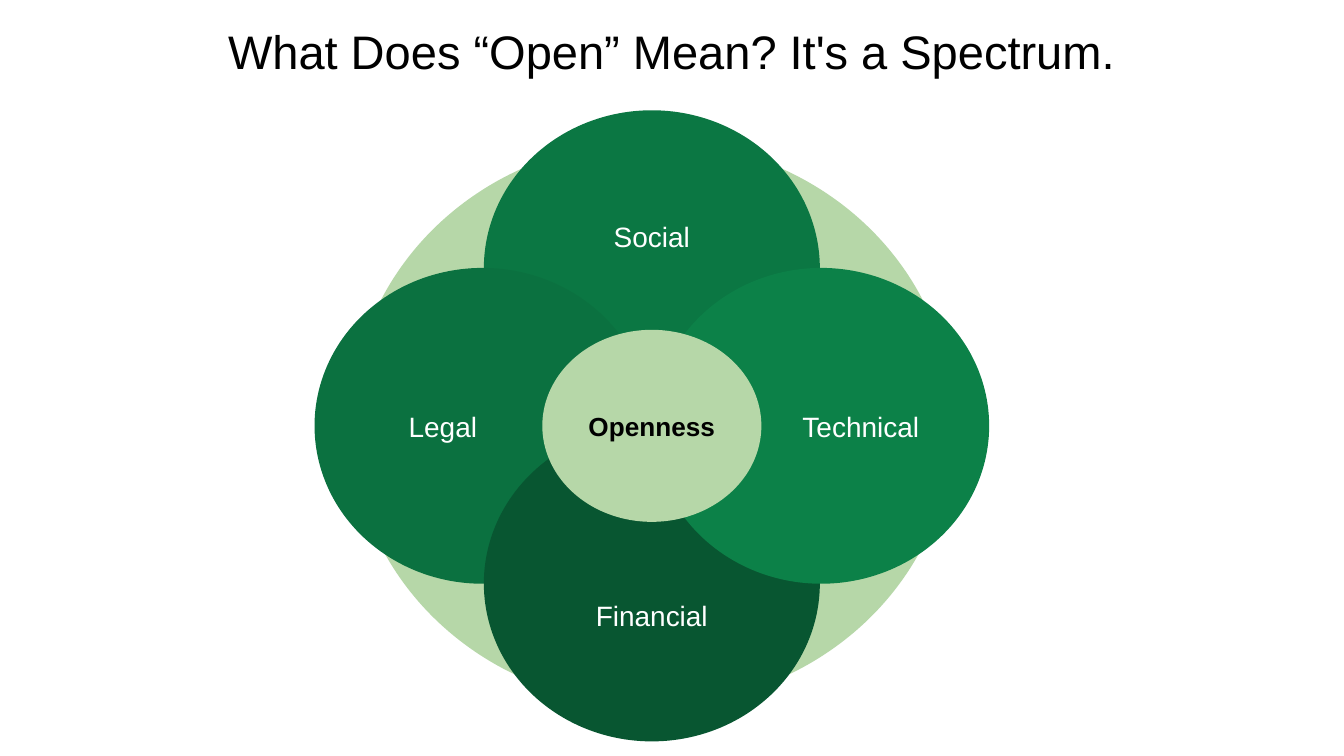
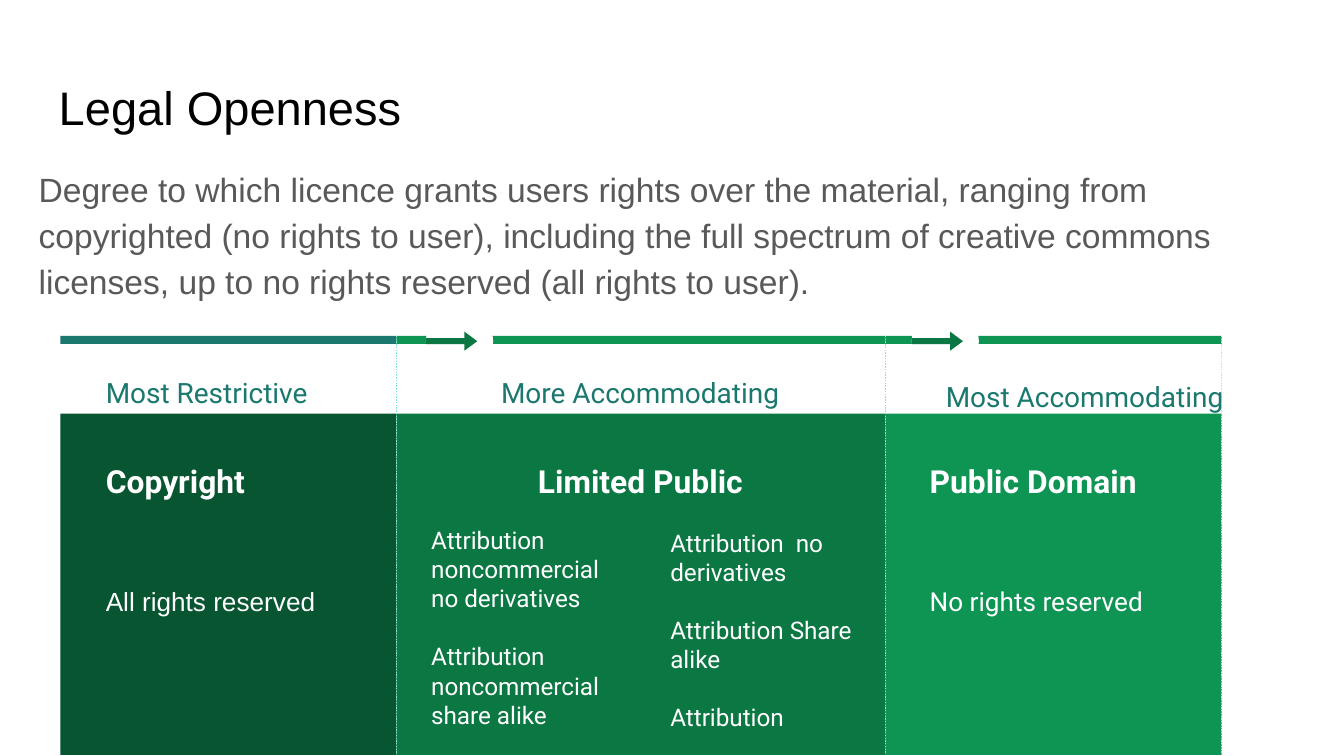
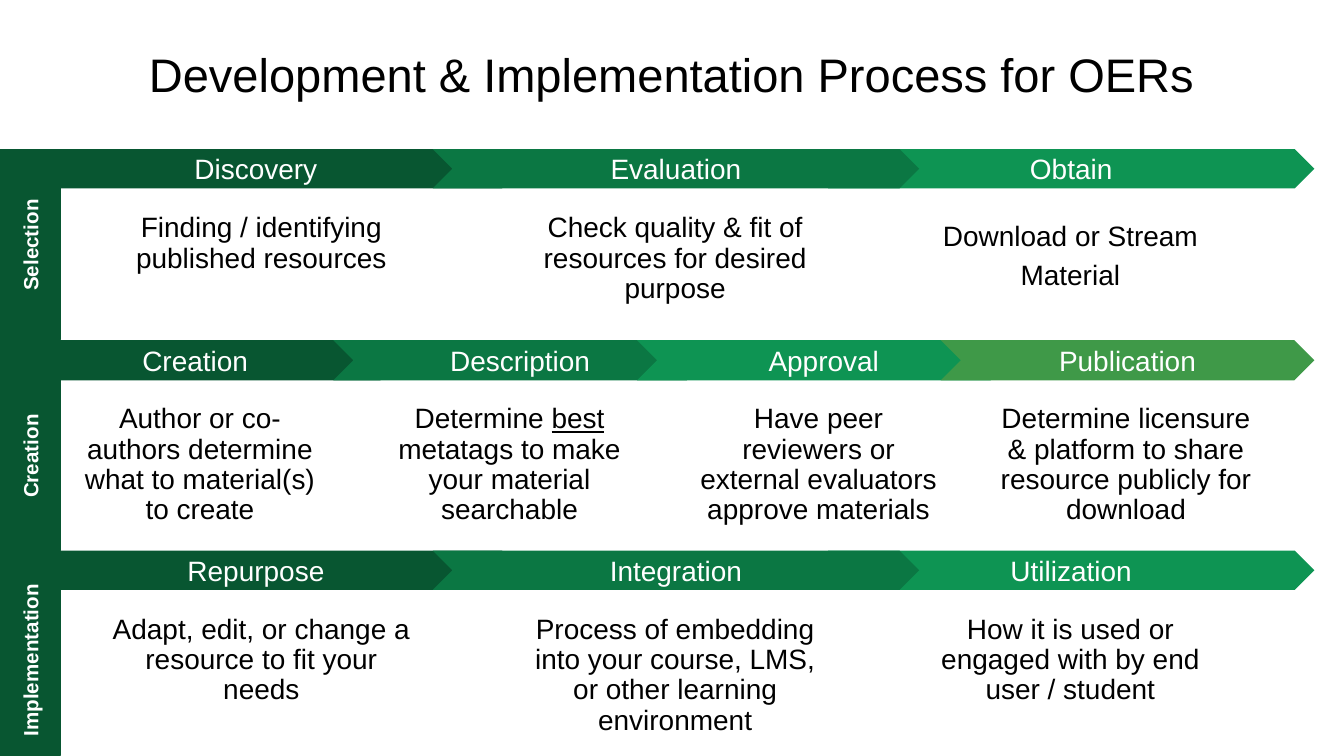
from lxml import etree
from pptx import Presentation
from pptx.dml.color import RGBColor
from pptx.enum.dml import MSO_LINE
from pptx.enum.shapes import MSO_CONNECTOR, MSO_SHAPE
from pptx.enum.text import MSO_ANCHOR, MSO_AUTO_SIZE, PP_ALIGN
from pptx.oxml.ns import qn
from pptx.util import Cm, Pt

LEFT, CENTER = PP_ALIGN.LEFT, PP_ALIGN.CENTER
TOP, MIDDLE = MSO_ANCHOR.TOP, MSO_ANCHOR.MIDDLE
OVAL, RECTANGLE = MSO_SHAPE.OVAL, MSO_SHAPE.RECTANGLE
PENTAGON, CHEVRON = MSO_SHAPE.PENTAGON, MSO_SHAPE.CHEVRON
RIGHT_ARROW = MSO_SHAPE.RIGHT_ARROW
STRAIGHT, DOTTED = MSO_CONNECTOR.STRAIGHT, MSO_LINE.ROUND_DOT
NO_AUTOFIT = MSO_AUTO_SIZE.NONE

BLACK = RGBColor(0x00, 0x00, 0x00)
WHITE = RGBColor(0xFF, 0xFF, 0xFF)
GRAY = RGBColor(0x59, 0x59, 0x59)
SILVER = RGBColor(0xD9, 0xD9, 0xD9)
PALE_GREEN = RGBColor(0xB6, 0xD7, 0xA8)
DARK_GREEN = RGBColor(0x08, 0x56, 0x31)
LEGAL_GREEN = RGBColor(0x0B, 0x71, 0x40)
GREEN = RGBColor(0x0B, 0x77, 0x43)
TECHNICAL_GREEN = RGBColor(0x0C, 0x81, 0x48)
BRIGHT_GREEN = RGBColor(0x0E, 0x94, 0x53)
LEAF_GREEN = RGBColor(0x3F, 0x99, 0x48)
TEAL = RGBColor(0x1B, 0x78, 0x6E)
AQUA = RGBColor(0x83, 0xE3, 0xD9)

# Text formats: font attributes
TITLE = {"name": "Arial", "size": Pt(25.2)}
BODY = {"name": "Arial", "size": Pt(18)}
LABEL = {"name": "Arial", "size": Pt(15)}
CORE = {"name": "Arial", "size": Pt(14), "bold": True}
TAB = {"name": "Arial", "size": Pt(11), "bold": True}
SCALE = {"name": "Roboto", "size": Pt(15)}
HEADING = {"name": "Roboto", "size": Pt(17), "bold": True}
RIGHTS = {"name": "Roboto", "size": Pt(14)}
LICENCE = {"name": "Roboto", "size": Pt(13)}


def set_attributes(target, values):
    for name, value in values.items():
        setattr(target, name, value)


def place(shape, box):
    names = ("left", "top", "width", "height")
    set_attributes(shape, {name: Cm(value) for name, value in zip(names, box)})


def write(shape, paragraphs, font_format, color, align=CENTER, anchor=TOP,
          spacing=1.0, gap=0):
    """Each paragraph is a string or a list of (text, underline) runs."""
    frame = shape.text_frame
    set_attributes(frame, {"word_wrap": True, "auto_size": NO_AUTOFIT,
                           "vertical_anchor": anchor})
    set_attributes(frame, {f"margin_{side}": Cm(0.25)
                           for side in ("left", "right", "top", "bottom")})
    for index, content in enumerate(paragraphs):
        paragraph = frame.add_paragraph() if index else frame.paragraphs[0]
        set_attributes(paragraph, {"alignment": align, "line_spacing": spacing,
                                   "space_before": Pt(gap if index else 0)})
        runs = [(content, None)] if isinstance(content, str) else content
        for text, underline in runs:
            run = paragraph.add_run()
            run.text = text
            set_attributes(run.font, {**font_format, "underline": underline})
            run.font.color.rgb = color


def add_titled_slide(presentation, layout, title, top, align=CENTER):
    slide = presentation.slides.add_slide(presentation.slide_layouts[layout])
    place(slide.shapes.title, (0.86, top, 23.67, 1.6))
    write(slide.shapes.title, [title], TITLE, BLACK, align)
    return slide


def add_figure(slide, kind, box, fill, adjustments=()):
    shape = slide.shapes.add_shape(kind, *map(Cm, box))
    shape.shadow.inherit = False
    shape.fill.solid()
    shape.fill.fore_color.rgb = fill
    shape.line.fill.background()
    for index, value in enumerate(adjustments):
        shape.adjustments[index] = value
    return shape


def add_text(slide, box, paragraphs, font_format, color, **options):
    text_box = slide.shapes.add_textbox(*map(Cm, box))
    write(text_box, paragraphs, font_format, color, **options)


def add_dotted_line(slide, x, top, bottom, color):
    line = slide.shapes.add_connector(STRAIGHT, Cm(x), Cm(top), Cm(x), Cm(bottom))
    set_attributes(line.line, {"width": Pt(0.75), "dash_style": DOTTED})
    line.line.color.rgb = color
    etree.SubElement(line._element.spPr, qn("a:effectLst"))


def centered(x, y, width, height):
    return x - width / 2, y - height / 2, width, height


# Slide 1: four petals around a core
def build_spectrum(presentation):
    slide = add_titled_slide(presentation, 5,
                             "What Does “Open” Mean? It's a Spectrum.", 0.18)
    x, y = 12.32, 8.05
    add_figure(slide, OVAL, centered(x, y - 0.05, 11.38, 10.67), PALE_GREEN)
    petals = [("Social", 0, -1, GREEN), ("Legal", -1, 0, LEGAL_GREEN),
              ("Financial", 0, 1, DARK_GREEN), ("Technical", 1, 0, TECHNICAL_GREEN)]
    for name, across, down, color in petals:
        add_figure(slide, OVAL,
                   centered(x + 3.2 * across, y + 2.98 * down, 6.35, 5.97), color)
        add_text(slide, centered(x + 3.95 * across, y + 3.59 * down, 4.39, 1.93),
                 [name], LABEL, WHITE, anchor=MIDDLE)
    core = add_figure(slide, OVAL, centered(x, y, 4.14, 3.63), PALE_GREEN)
    write(core, ["Openness"], CORE, BLACK, anchor=MIDDLE)


# Slide 2: three columns from restrictive to accommodating
def add_licence_column(slide, left, width, panel_color, bar_color, edge_color):
    add_figure(slide, RECTANGLE, (left, 7.82, width, 6.45), panel_color)
    add_figure(slide, RECTANGLE, (left, 6.35, width, 0.15), bar_color)
    add_dotted_line(slide, left + width, 6.35, 14.25, edge_color)


def build_legal(presentation):
    slide = add_titled_slide(presentation, 1, "Legal Openness", 1.24, LEFT)
    body = slide.placeholders[1]
    place(body, (0.48, 2.82, 24.41, 10.34))
    write(body, ["Degree to which licence grants users rights over the material, "
                 "ranging from copyrighted (no rights to user), including the full "
                 "spectrum of creative commons licenses, up to no rights reserved "
                 "(all rights to user)."], BODY, GRAY, LEFT, spacing=1.15)
    properties = body.text_frame.paragraphs[0]._p.get_or_add_pPr()
    properties.set("marL", "0")
    properties.set("indent", "0")
    etree.SubElement(properties, qn("a:buNone"))

    for column in [(16.74, 6.35, BRIGHT_GREEN, BRIGHT_GREEN, SILVER),
                   (7.49, 9.25, GREEN, BRIGHT_GREEN, AQUA),
                   (1.14, 6.35, DARK_GREEN, TEAL, AQUA)]:
        add_licence_column(slide, *column)

    # Scale labels and column headings: left, top, width
    for text, left, top, width, align in [
            ("Most Restrictive", 1.75, 6.76, 4.45, LEFT),
            ("More Accommodating", 7.67, 6.76, 8.86, CENTER),
            ("Most Accommodating", 16.74, 6.83, 7.52, CENTER)]:
        add_text(slide, (left, top, width, 0.71), [text], SCALE, TEAL,
                 align=align, spacing=1.15)
    for text, left, width, align in [("Copyright", 1.75, 5.16, LEFT),
                                     ("Limited Public", 8.36, 7.49, CENTER),
                                     ("Public Domain", 17.32, 5.16, LEFT)]:
        add_text(slide, (left, 8.47, width, 2.21), [text], HEADING, WHITE, align=align)

    # Rights and licence lists
    for text, left, font in [("All rights reserved", 1.75, "Arial"),
                             ("No rights reserved", 17.32, "Roboto")]:
        add_text(slide, (left, 10.82, 5.16, 2.77), [text],
                 {**RIGHTS, "name": font}, WHITE, align=LEFT)
    for box, licences in [
            ((7.9, 9.68, 3.94, 3.78), ["Attribution noncommercial no derivatives",
                                       "Attribution noncommercial share alike"]),
            ((12.42, 9.73, 4.55, 3.78), ["Attribution  no derivatives",
                                         "Attribution Share alike", "Attribution"])]:
        add_text(slide, box, licences, LICENCE, WHITE, align=LEFT, gap=15.5)

    # Arrows in the gaps of the scale
    for left in (8.05, 17.23):
        add_figure(slide, OVAL, (left, 5.89, 1.27, 1.12), WHITE)
        add_figure(slide, RIGHT_ARROW, (left, 6.27, 0.97, 0.36), GREEN, (0.32, 0.67))


# Slide 3: three process rows with side tabs
STEP_COLORS = [DARK_GREEN, GREEN, BRIGHT_GREEN, LEAF_GREEN]
# Row geometry by number of steps; "order" runs from back to front
ROW_LAYOUTS = {
    3: {"order": (2, 0, 1), "height": 0.74, "first_width": 9.86, "start": 8.18,
        "pitch": 7.47, "width": 9.19, "text_lefts": (1.83, 9.65, 17.12),
        "text_width": 6.22},
    4: {"order": (0, 1, 2, 3), "height": 0.76, "first_width": 7.57, "start": 6.3,
        "pitch": 5.74, "width": 7.06, "text_lefts": (1.14, 6.99, 12.83, 18.64),
        "text_width": 5.28},
}
PROCESS = [
    ("Selection", 2.82, 4.06, [
        ("Discovery", "Finding / identifying published resources", 0.9),
        ("Evaluation", "Check quality & fit of resources for desired purpose", 0.9),
        ("Obtain", "Download or Stream Material", 1.15)]),
    ("Creation", 6.43, 8.05, [
        ("Creation", "Author or co-authors determine what to material(s) to create",
         0.9),
        ("Description", [("Determine ", None), ("best", True),
                         (" metatags to make your material searchable", None)], 0.9),
        ("Approval", "Have peer reviewers or external evaluators approve materials",
         0.9),
        ("Publication", "Determine licensure & platform to share resource publicly "
                        "for download", 0.9)]),
    ("Implementation", 10.41, 11.91, [
        ("Repurpose", "Adapt, edit, or change a resource to fit your needs", 0.9),
        ("Integration", "Process of embedding into your course, LMS, or other "
                        "learning environment", 0.9),
        ("Utilization", "How it is used or engaged with by end user / student",
         0.9)]),
]


def add_process_row(slide, top, steps):
    layout = ROW_LAYOUTS[len(steps)]
    for index in layout["order"]:
        name, description, spacing = steps[index]
        if index == 0:
            kind, left, width = PENTAGON, 0, layout["first_width"]
        else:
            kind, width = CHEVRON, layout["width"]
            left = layout["start"] + (index - 1) * layout["pitch"]
        band = add_figure(slide, kind, (left, top, width, layout["height"]),
                          STEP_COLORS[index], (0.5,))
        write(band, [name], LABEL, WHITE, anchor=MIDDLE)
        add_text(slide, (layout["text_lefts"][index], top + 0.97,
                         layout["text_width"], 2.9),
                 [description], LABEL, BLACK, spacing=spacing)


def add_side_tab(slide, name, top):
    tab = add_figure(slide, RECTANGLE, (-1.22, top, 3.58, 1.14), DARK_GREEN)
    tab.rotation = 270
    tab.line.color.rgb = DARK_GREEN
    tab.line.width = Pt(0.75)
    write(tab, [name], TAB, WHITE, anchor=MIDDLE)


def build_process(presentation):
    slide = add_titled_slide(presentation, 5,
                             "Development & Implementation Process for OERs", 0.61)
    for _, row_top, _, steps in PROCESS:
        add_process_row(slide, row_top, steps)
    for phase, _, tab_top, _ in PROCESS:
        add_side_tab(slide, phase, tab_top)


def main():
    presentation = Presentation()
    presentation.slide_width = Cm(25.4)
    presentation.slide_height = Cm(14.29)
    build_spectrum(presentation)
    build_legal(presentation)
    build_process(presentation)
    presentation.save("out.pptx")


if __name__ == "__main__":
    main()
